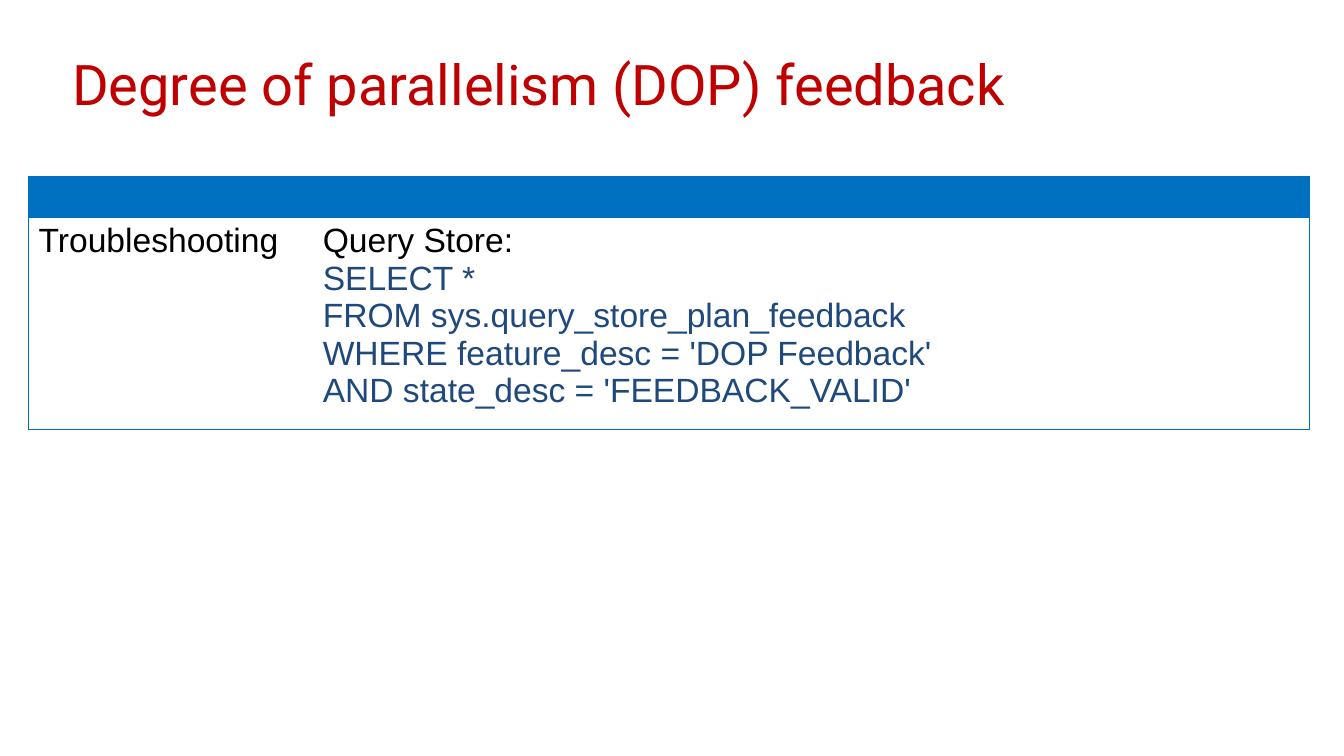
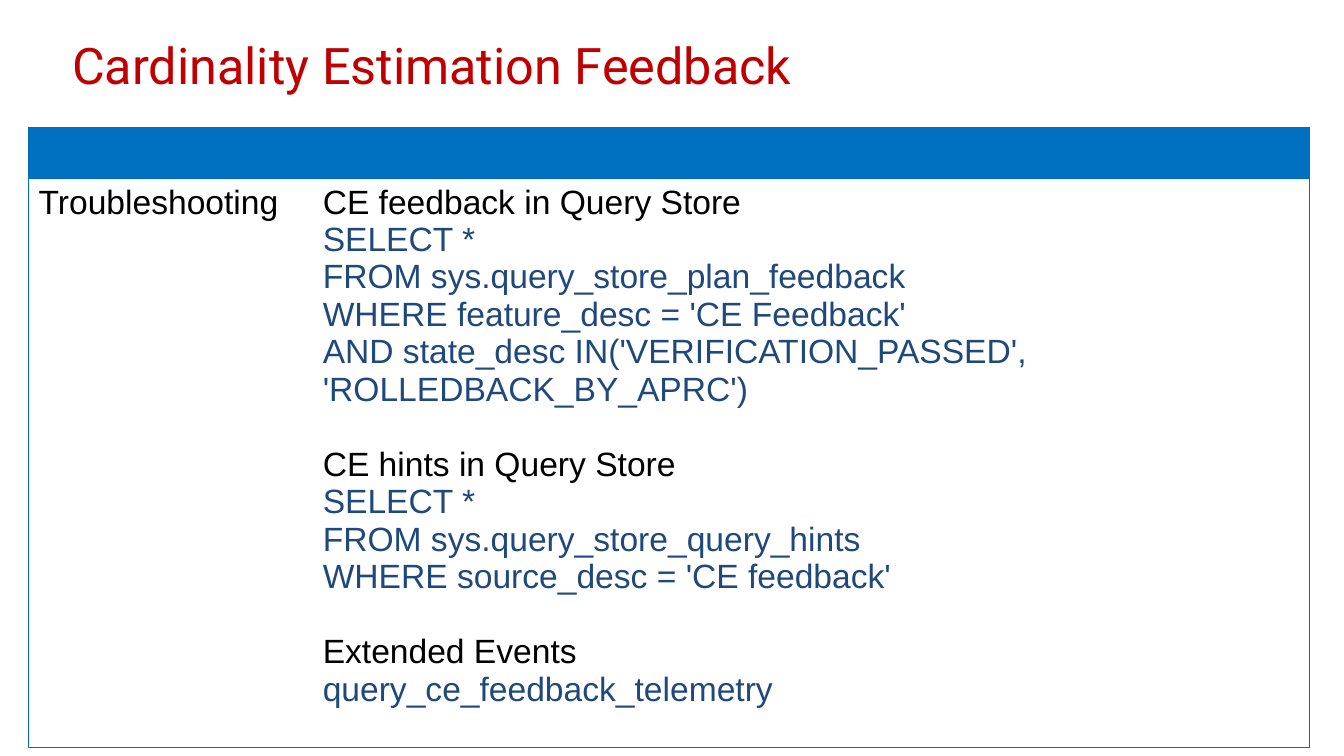
from dataclasses import dataclass

from lxml import etree
from pptx import Presentation
from pptx.dml.color import RGBColor
from pptx.enum.text import MSO_ANCHOR
from pptx.oxml.ns import qn
from pptx.util import Cm, Pt

MIDDLE = MSO_ANCHOR.MIDDLE

COLORS = {
    "title": "C00000",
    "header": "0070C0",
    "border": "006EBC",
    "body": "FFFFFF",
    "text": "000000",
    "code": "1F497D",
}
TITLE_FONT, BODY_FONT = "Roboto", "Arial"
BODY_SIZE = 24
SECTION_GAP = 26.8
LEFT = 0.72
COLUMN_WIDTHS = (7.16, 25.12)


@dataclass(frozen=True)
class Section:
    heading: str
    code: tuple[str, ...]


@dataclass(frozen=True)
class FeedbackSlide:
    title: str
    title_size: int
    title_top: float
    table_top: float
    row_heights: tuple[float, float]
    sections: tuple[Section, ...]


SLIDES = (
    FeedbackSlide(
        "Degree of parallelism (DOP) feedback", 40, 0.5, 4.44, (1.04, 4.98),
        (Section("Query Store:", (
            "SELECT *",
            "FROM sys.query_store_plan_feedback",
            "WHERE feature_desc = 'DOP Feedback'",
            "AND state_desc = 'FEEDBACK_VALID'",
        )),),
    ),
    FeedbackSlide(
        "Cardinality Estimation Feedback", 36, 0.03, 3.2, (1.3, 13.5),
        (
            Section("CE feedback in Query Store", (
                "SELECT *",
                "FROM sys.query_store_plan_feedback",
                "WHERE feature_desc = 'CE Feedback'",
                "AND state_desc IN('VERIFICATION_PASSED', 'ROLLEDBACK_BY_APRC')",
            )),
            Section("CE hints in Query Store", (
                "SELECT *",
                "FROM sys.query_store_query_hints",
                "WHERE source_desc = 'CE feedback'",
            )),
            Section("Extended Events", ("query_ce_feedback_telemetry",)),
        ),
    ),
)


def set_text(p, text: str, font: str, size: int, color: str) -> None:
    p.text = text
    for r in p.runs:
        r.font.name = font
        r.font.size = Pt(size)
        r.font.bold = False
        r.font.color.rgb = RGBColor.from_string(COLORS[color])


def set_borders(cell, visible: str) -> None:
    """Draw the sides named in visible (from L, R, T, B) and clear the others."""
    tc_pr = cell._tc.get_or_add_tcPr()
    for side in "LRTB":
        ln = etree.SubElement(tc_pr, qn(f"a:ln{side}"), w=str(Pt(0.75)))
        if side in visible:
            fill = etree.SubElement(ln, qn("a:solidFill"))
            etree.SubElement(fill, qn("a:srgbClr"), val=COLORS["border"])
        else:
            etree.SubElement(ln, qn("a:noFill"))


def add_title(s, slide: FeedbackSlide) -> None:
    sp = s.shapes.add_textbox(Cm(1.57), Cm(slide.title_top), Cm(30.58), Cm(3.17))
    tf = sp.text_frame
    tf.word_wrap = True
    tf.vertical_anchor = MIDDLE
    set_text(tf.paragraphs[0], slide.title, TITLE_FONT, slide.title_size, "title")


def fill_sections(tf, sections: tuple[Section, ...]) -> None:
    for i, section in enumerate(sections):
        p = tf.add_paragraph() if i else tf.paragraphs[0]
        set_text(p, section.heading, BODY_FONT, BODY_SIZE, "text")
        if i:
            p.space_before = Pt(SECTION_GAP)
        for line in section.code:
            set_text(tf.add_paragraph(), line, BODY_FONT, BODY_SIZE, "code")


def add_feedback_table(s, slide: FeedbackSlide) -> None:
    frame = s.shapes.add_table(
        2, 2, Cm(LEFT), Cm(slide.table_top),
        Cm(sum(COLUMN_WIDTHS)), Cm(sum(slide.row_heights)),
    )
    table = frame.table
    table.horz_banding = False
    for column, width in zip(table.columns, COLUMN_WIDTHS):
        column.width = Cm(width)
    for i, (row, height) in enumerate(zip(table.rows, slide.row_heights)):
        row.height = Cm(height)
        for cell, outer_side in zip(row.cells, "LR"):
            set_borders(cell, outer_side + ("TB" if i else "T"))
            cell.fill.solid()
            color = COLORS["body" if i else "header"]
            cell.fill.fore_color.rgb = RGBColor.from_string(color)
    label = table.cell(1, 0).text_frame.paragraphs[0]
    set_text(label, "Troubleshooting", BODY_FONT, BODY_SIZE, "text")
    fill_sections(table.cell(1, 1).text_frame, slide.sections)


def main() -> None:
    prs = Presentation()
    prs.slide_width, prs.slide_height = Cm(33.87), Cm(19.05)
    for slide in SLIDES:
        s = prs.slides.add_slide(prs.slide_layouts[6])
        add_title(s, slide)
        add_feedback_table(s, slide)
    prs.save("out.pptx")


if __name__ == "__main__":
    main()
